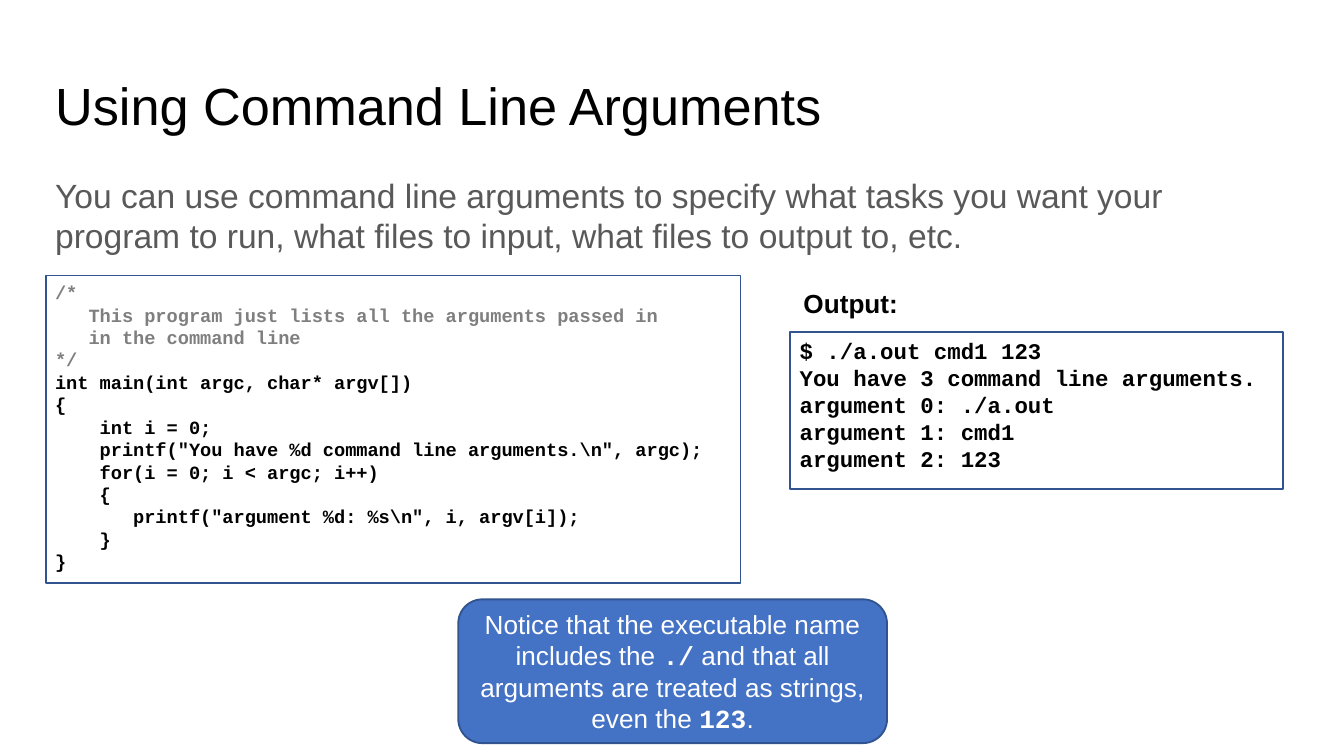
from pptx import Presentation
from pptx.dml.color import RGBColor
from pptx.enum.shapes import MSO_SHAPE
from pptx.enum.text import MSO_ANCHOR, PP_ALIGN
from pptx.util import Inches, Pt

# Content
TITLE = "Using Command Line Arguments"
INTRO = ("You can use command line arguments to specify what tasks you want your "
         "program to run, what files to input, what files to output to, etc.")
COMMENT = """/*
   This program just lists all the arguments passed in
   in the command line
*/""".splitlines()
CODE = r"""int main(int argc, char* argv[])
{
    int i = 0;
    printf("You have %d command line arguments.\n", argc);
    for(i = 0; i < argc; i++)
    {
       printf("argument %d: %s\n", i, argv[i]);
    }
}""".splitlines()
OUTPUT = ["$ ./a.out cmd1 123", "You have 3 command line arguments.",
          "argument 0: ./a.out", "argument 1: cmd1", "argument 2: 123"]
# (text, is code)
NOTE = [("Notice that the executable name includes the ", False), ("./", True),
        (" and that all arguments are treated as strings, even the ", False),
        ("123", True), (".", False)]

COLORS = {"black": "000000", "body": "595959", "comment": "7F7F7F",
          "white": "FFFFFF", "border": "31538F", "note": "4472C4"}
SANS, MONO = "Arial", "Courier New"
LEFT, OUT_LEFT = 0.34, 5.88
INSETS = (0.07, 0.04)

# Widescreen 16:9 slide
prs = Presentation()
prs.slide_width = Inches(10)
prs.slide_height = Inches(10) * 9 // 16
s = prs.slides.add_slide(prs.slide_layouts[6])


def color(name):
    return RGBColor.from_string(COLORS[name])


def set_font(font, size, name, color_name, bold=False):
    font.size, font.name, font.bold = Pt(size), name, bold
    font.color.rgb = color(color_name)


def set_frame(sp, insets, anchor):
    tf = sp.text_frame
    tf.word_wrap = True
    tf.vertical_anchor = anchor
    tf.margin_left = tf.margin_right = Inches(insets[0])
    tf.margin_top = tf.margin_bottom = Inches(insets[1])
    return tf


def add_text(box, text, size, color_name, bold=False, insets=INSETS,
             anchor=MSO_ANCHOR.TOP):
    sp = s.shapes.add_textbox(*map(Inches, box))
    p = set_frame(sp, insets, anchor).paragraphs[0]
    p.text = text
    set_font(p.font, size, SANS, color_name, bold)
    return p


def add_panel(box, kind, fill, insets, anchor):
    sp = s.shapes.add_shape(kind, *map(Inches, box))
    sp.shadow.inherit = False
    sp.fill.solid()
    sp.fill.fore_color.rgb = color(fill)
    sp.line.color.rgb = color("border")
    sp.line.width = Pt(1)
    return set_frame(sp, insets, anchor)


def add_listing(box, lines, size):
    tf = add_panel(box, MSO_SHAPE.RECTANGLE, "white", INSETS, MSO_ANCHOR.TOP)
    for i, (text, color_name) in enumerate(lines):
        p = tf.add_paragraph() if i else tf.paragraphs[0]
        p.text = text
        p.alignment = PP_ALIGN.LEFT
        set_font(p.font, size, MONO, color_name, True)


# Title and introduction
p = add_text((LEFT, 0.49, 9.32, 0.63), TITLE, 28, "black", anchor=MSO_ANCHOR.MIDDLE)
p.line_spacing = 0.9
p = add_text((LEFT, 1.26, 9.32, 3.74), INTRO, 18, "body")
p.space_after = Pt(16)

# Program and its output
add_listing((LEFT, 2.05, 5.17, 2.29),
            [(t, "comment") for t in COMMENT] + [(t, "black") for t in CODE], 10)
add_listing((OUT_LEFT, 2.47, 3.67, 1.17), [(t, "black") for t in OUTPUT], 12)
add_text((OUT_LEFT, 2.04, 1.02, 0.34), "Output:", 14, "black", True, (0.1, 0.1))

# Callout
tf = add_panel((3.41, 4.46, 3.19, 1.07), MSO_SHAPE.ROUNDED_RECTANGLE, "note",
               (0.1, 0.05), MSO_ANCHOR.MIDDLE)
p = tf.paragraphs[0]
p.alignment = PP_ALIGN.CENTER
for text, is_code in NOTE:
    r = p.add_run()
    r.text = text
    set_font(r.font, 14, MONO if is_code else SANS, "white", is_code)

prs.save("out.pptx")
